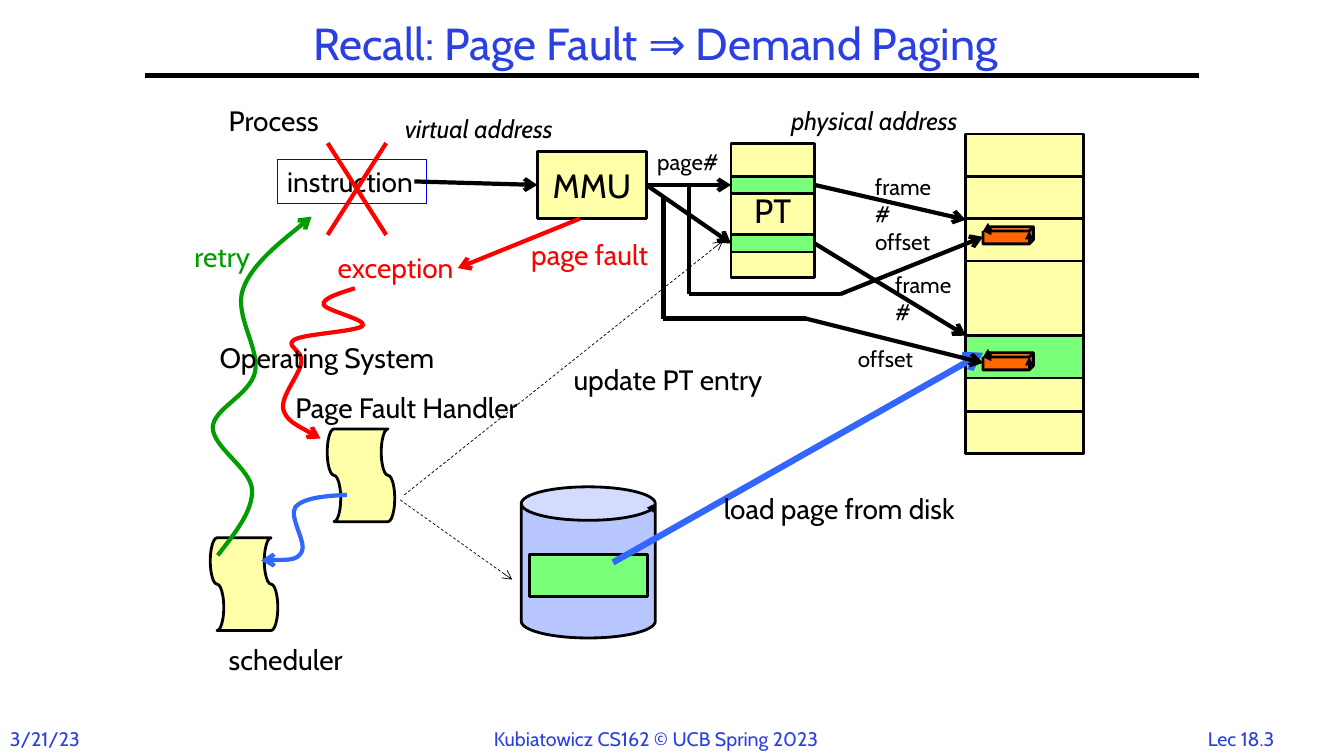
from lxml import etree
from pptx import Presentation
from pptx import util as u
from pptx.dml.color import RGBColor
from pptx.enum import dml, shapes, text
from pptx.oxml.ns import qn

FONT = "Cabin"
COLORS = {
    "title": "2A40E2", "black": "000000", "yellow": "FFFFAA", "green": "79FF79",
    "orange": "FF6600", "disk": "B7C6FE", "red": "FF0000", "blue": "3366FF",
    "frame": "0000FF", "retry": "009D00",
}
KIND = shapes.MSO_SHAPE
TOP, LEFT, BOTTOM, RIGHT = range(4)  # connection sites of a rectangle


def grid(*inches):
    """Turn slide coordinates in inches into lengths."""
    return [u.Cm(value * 2.54) for value in inches]


def rgb(name):
    return RGBColor.from_string(COLORS[name])


def write(shape, words, size, color, align=text.PP_ALIGN.LEFT, italic=False):
    frame = shape.text_frame
    frame.text = words
    frame.word_wrap = True
    paragraph = frame.paragraphs[0]
    paragraph.alignment = align
    font = paragraph.runs[0].font
    font.name, font.size, font.italic = FONT, u.Pt(size), italic
    font.color.rgb = rgb(color)
    return frame


def add_label(slide, box, words, size=20, color="black", **style):
    return write(slide.shapes.add_textbox(*grid(*box)), words, size, color, **style)


def set_line(line, color, width, **ends):
    """Style a line; ends may give headEnd or tailEnd types."""
    line.color.rgb = rgb(color)
    line.width = u.Pt(width)
    for end, style in ends.items():
        etree.SubElement(line._get_or_add_ln(), qn("a:" + end), type=style)


def add_block(slide, kind, box, fill="yellow", line="black", width=2, **ends):
    shape = slide.shapes.add_shape(kind, *grid(*box))
    shape.shadow.inherit = False
    if fill:
        shape.fill.solid()
        shape.fill.fore_color.rgb = rgb(fill)
    else:
        shape.fill.background()
    set_line(shape.line, line, width, **ends)
    return shape


def add_line(slide, start, end, color="black", width=3, arrow=True, dashed=False,
             source=None, target=None):
    connector = slide.shapes.add_connector(
        shapes.MSO_CONNECTOR.STRAIGHT, *grid(*start, *end))
    if source:
        connector.begin_connect(source, RIGHT)
    if target:
        connector.end_connect(target, LEFT)
    if dashed:
        connector.line.dash_style = dml.MSO_LINE.DASH
    set_line(connector.line, color, width, **({"tailEnd": "arrow"} if arrow else {}))
    etree.SubElement(connector._element.spPr, qn("a:effectLst"))


def add_curve(slide, points, color):
    """Draw a smooth arrow: a start point, then three Bézier points per part."""
    start, *controls = [grid(*point) for point in points]
    builder = slide.shapes.build_freeform(*start)
    builder.add_line_segments(controls, close=False)
    curve = builder.convert_to_shape()
    curve.shadow.inherit = False
    curve.fill.background()
    set_line(curve.line, color, 3, tailEnd="arrow")
    outline = curve._element.spPr.find(".//" + qn("a:path"))
    segments = outline.findall(qn("a:lnTo"))
    for first in range(0, len(segments), 3):
        bezier = etree.SubElement(outline, qn("a:cubicBezTo"))
        for segment in segments[first:first + 3]:
            bezier.append(segment[0])
            outline.remove(segment)


def add_frame(slide):
    centre = text.PP_ALIGN.CENTER
    title = add_label(slide, (2.42, 0.17, 8.17, 0.58),
                      "Recall: Page Fault ⇒ Demand Paging", 32, "title", align=centre)
    title.vertical_anchor = text.MSO_ANCHOR.MIDDLE
    title.paragraphs[0].line_spacing = 0.9
    add_line(slide, (1.44, 0.75), (11.89, 0.75), arrow=False)
    add_label(slide, (0, 7.16, 0.95, 0.34), "3/21/23", 14, "title")
    add_label(slide, (4.8, 7.16, 3.74, 0.34),
              "Kubiatowicz CS162 © UCB Spring 2023", 14, "title")
    add_label(slide, (11.77, 7.16, 1.08, 0.33), "Lec 18.3", 14, "title", align=centre)


def add_translation(slide):
    # Physical memory
    add_block(slide, KIND.RECTANGLE, (9.58, 1.33, 1.17, 3.17))
    for top, fill in ((1.75, "yellow"), (2.17, "yellow"), (4.08, "yellow"), (3.33, "green")):
        add_block(slide, KIND.RECTANGLE, (9.58, top, 1.17, 0.42), fill)

    # Process, MMU and page table
    instruction = add_block(slide, KIND.RECTANGLE, (2.75, 1.58, 1.48, 0.44),
                            None, "frame", 0.75)
    write(instruction, "instruction", 20, "black")
    mmu = add_block(slide, KIND.RECTANGLE, (5.33, 1.5, 1.08, 0.67))
    write(mmu, "MMU", 24, "black", text.PP_ALIGN.CENTER)
    page_table = add_block(slide, KIND.RECTANGLE, (7.25, 1.42, 0.83, 1.33))
    write(page_table, "PT", 24, "black", text.PP_ALIGN.CENTER)
    add_line(slide, (4.11, 1.8), (5.33, 1.83), target=mmu)

    # Page number to entry to frame
    for top, frame_end in ((1.75, 2.18), (2.33, 3.33)):
        entry = add_block(slide, KIND.RECTANGLE, (7.25, top, 0.83, 0.17), "green")
        middle = top + 0.08
        add_line(slide, (6.42, 1.83), (7.25, middle), source=mmu, target=entry)
        add_line(slide, (8.08, middle), (9.58, frame_end), source=entry)


def add_offsets(slide):
    for left, top, bend, bottom, end in ((6.83, 1.83, 8.33, 2.92, 2.35),
                                         (6.58, 1.94, 7.99, 3.16, 3.6)):
        add_block(slide, KIND.CUBE, (9.75, end - 0.1, 0.5, 0.17), "orange",
                  headEnd="triangle")
        add_line(slide, (left, bottom), (left, top), arrow=False)
        add_line(slide, (left, bottom), (bend, bottom), arrow=False)
        add_line(slide, (bend, bottom), (9.75, end))


def add_fault_handling(slide):
    # Failed instruction and fault
    for left, right in ((3.25, 3.83), (3.83, 3.25)):
        add_line(slide, (left, 1.42), (right, 2.33), "red", arrow=False)
    add_line(slide, (5.75, 2.17), (4.54, 2.66), "red")

    # Handler and scheduler
    for left, top in ((3.12, 4.38), (1.96, 5.46)):
        tape = add_block(slide, KIND.FLOWCHART_PUNCHED_TAPE, (left, top, 0.92, 0.67))
        tape.rotation = 90

    # Disk and page load
    add_block(slide, KIND.CAN, (5.17, 4.83, 1.33, 1.5), "disk", headEnd="triangle")
    add_block(slide, KIND.RECTANGLE, (5.25, 5.5, 1.17, 0.42), "green")
    add_line(slide, (6.08, 5.58), (9.75, 3.5), "blue", 4.5)
    for start, end in (((3.97, 4.96), (5.08, 5.75)), ((4.01, 4.91), (7.17, 2.39))):
        add_line(slide, start, end, width=0.5, dashed=True)

    # Control flow
    add_curve(slide, [
        (3.52, 2.86), (3.36, 2.91), (3.2, 2.96), (3.21, 3.02),
        (3.22, 3.08), (3.64, 3.17), (3.6, 3.23), (3.55, 3.29), (3.02, 3.31), (2.92, 3.37),
        (2.82, 3.43), (3.01, 3.48), (2.99, 3.59), (2.98, 3.71), (2.78, 3.93), (2.81, 4.06),
        (2.84, 4.18), (3.18, 4.35), (3.18, 4.35)], "red")
    add_curve(slide, [
        (3.44, 4.91), (3.22, 4.92), (3.01, 4.94), (2.93, 5.03),
        (2.86, 5.13), (3.05, 5.39), (2.99, 5.48), (2.94, 5.57), (2.59, 5.56), (2.59, 5.56)],
        "blue")
    add_curve(slide, [
        (2.16, 5.51), (2.33, 5.29), (2.51, 5.07), (2.5, 4.86),
        (2.49, 4.65), (2.11, 4.44), (2.11, 4.24), (2.12, 4.05), (2.48, 3.92), (2.53, 3.69),
        (2.58, 3.46), (2.32, 3.13), (2.41, 2.87), (2.5, 2.61), (3.09, 2.15), (3.09, 2.15)],
        "retry")


def add_labels(slide):
    for left, top, width, words, color in (
            (2.17, 0.98, 1.22, "Process", "black"),
            (2.08, 3.33, 2.44, "Operating System", "black"),
            (2.83, 3.83, 2.62, "Page Fault Handler", "black"),
            (7.08, 4.83, 2.65, "load page from disk", "black"),
            (5.59, 3.55, 2.19, "update PT entry", "black"),
            (2.17, 6.33, 1.42, "scheduler", "black"),
            (5.17, 2.31, 1.43, "page fault", "red"),
            (3.25, 2.44, 1.4, "exception", "red"),
            (1.83, 2.33, 0.78, "retry", "retry")):
        add_label(slide, (left, top, width, 0.44), words, color=color)
    for left, top, width, words in (
            (6.42, 1.42, 0.82, "page#"), (8.58, 1.67, 0.9, "frame#"),
            (8.58, 2.21, 0.75, "offset"), (8.78, 2.64, 0.9, "frame#"),
            (8.41, 3.37, 0.75, "offset")):
        add_label(slide, (left, top, width, 0.37), words, 16)
    add_label(slide, (3.92, 1.08, 1.84, 0.4), "virtual address", 18, italic=True)
    add_label(slide, (7.75, 1, 2.08, 0.4), "physical address", 18, italic=True)


def main():
    presentation = Presentation()
    presentation.slide_width, presentation.slide_height = grid(13.33, 7.5)
    slide = presentation.slides.add_slide(presentation.slide_layouts[6])
    add_frame(slide)
    add_translation(slide)
    add_fault_handling(slide)
    add_offsets(slide)
    add_labels(slide)
    presentation.save("out.pptx")


if __name__ == "__main__":
    main()
